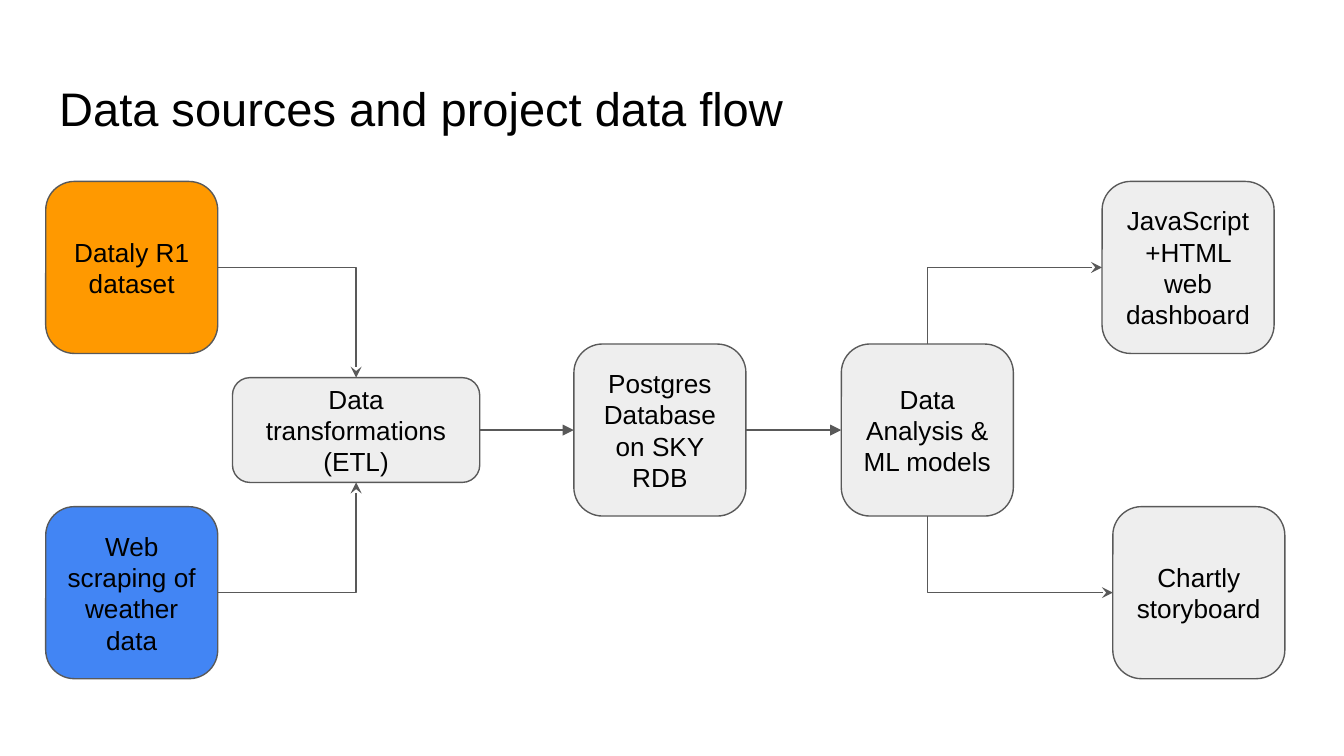
from dataclasses import dataclass

import pptx
import pptx.dml.color
import pptx.enum.shapes
import pptx.enum.text
import pptx.oxml.ns
import pptx.util
from lxml import etree
from pptx.util import Inches

RGB = pptx.dml.color.RGBColor.from_string
SHAPE = pptx.enum.shapes.MSO_SHAPE
CONNECTOR = pptx.enum.shapes.MSO_CONNECTOR
ALIGN = pptx.enum.text.PP_ALIGN
ANCHOR = pptx.enum.text.MSO_ANCHOR
qn = pptx.oxml.ns.qn


@dataclass(frozen=True)
class Theme:
    font: str = "Arial"
    text: str = "000000"
    line: str = "595959"
    step: str = "EEEEEE"
    dataset: str = "FF9900"
    scraping: str = "4285F4"
    title_size: float = 25.2
    box_size: float = 14
    line_width: float = 0.75


theme = Theme()


def set_text(shape, text, size, align, anchor):
    frame = shape.text_frame
    frame.text = text
    margins = dict.fromkeys(("margin_left", "margin_top", "margin_right", "margin_bottom"), Inches(0.1))
    settings = {"word_wrap": True, "auto_size": pptx.enum.text.MSO_AUTO_SIZE.NONE, "vertical_anchor": anchor}
    for name, value in (margins | settings).items():
        setattr(frame, name, value)
    paragraph = frame.paragraphs[0]
    paragraph.alignment = align
    paragraph.font.name = theme.font
    paragraph.font.size = pptx.util.Pt(size)
    paragraph.font.color.rgb = RGB(theme.text)


def connect(kind, source, source_side, target, target_side, arrowhead):
    """Join two boxes with an arrow that points at the target."""
    arrow = slide.shapes.add_connector(kind, 0, 0, 0, 0)
    arrow.begin_connect(source, source_side)
    arrow.end_connect(target, target_side)
    arrow.line.color.rgb = RGB(theme.line)
    arrow.line.width = pptx.util.Pt(theme.line_width)
    etree.SubElement(arrow.line._get_or_add_ln(), qn("a:tailEnd"), type=arrowhead)
    etree.SubElement(arrow._element.spPr, qn("a:effectLst"))
    return arrow


presentation = pptx.Presentation()
presentation.slide_width = Inches(10)
presentation.slide_height = Inches(10) * 9 // 16
slide = presentation.slides.add_slide(presentation.slide_layouts[5])

title = slide.shapes.title
title.left, title.top, title.width, title.height = map(Inches, (0.34, 0.49, 9.32, 0.63))
set_text(title, "Data sources and project data flow", theme.title_size, ALIGN.LEFT, ANCHOR.TOP)

side = 1.28
upper, middle, lower = 1.99, 3.2, 4.41  # centre lines of the three rows
steps = {
    "database": ("Postgres Database on SKY RDB", 4.27, middle, side, side, theme.step),
    "etl": ("Data transformations (ETL)", 1.73, middle, 1.84, 0.78, theme.step),
    "scraping": ("Web scraping of weather data", 0.34, lower, side, side, theme.scraping),
    "dataset": ("Dataly R1 dataset", 0.34, upper, side, side, theme.dataset),
    "analysis": ("Data Analysis & ML models", 6.26, middle, side, side, theme.step),
    "storyboard": ("Chartly storyboard", 8.28, lower, side, side, theme.step),
    "dashboard": ("JavaScript+HTML web dashboard", 8.2, upper, side, side, theme.step),
}
boxes = {}
for key, (label, left, centre, width, height, fill) in steps.items():
    box = slide.shapes.add_shape(
        SHAPE.ROUNDED_RECTANGLE, Inches(left), Inches(centre - height / 2), Inches(width), Inches(height)
    )
    box.shadow.inherit = False
    box.fill.solid()
    box.fill.fore_color.rgb = RGB(fill)
    box.line.color.rgb = RGB(theme.line)
    box.line.width = pptx.util.Pt(theme.line_width)
    set_text(box, label, theme.box_size, ALIGN.CENTER, ANCHOR.MIDDLE)
    boxes[key] = box

top, left, bottom, right = range(4)
for source, target in (("etl", "database"), ("database", "analysis")):
    connect(CONNECTOR.STRAIGHT, boxes[source], right, boxes[target], left, "triangle")

for source, source_side, target, target_side in (
    ("dataset", right, "etl", top),
    ("scraping", right, "etl", bottom),
    ("analysis", top, "dashboard", left),
    ("analysis", bottom, "storyboard", left),
):
    elbow = connect(CONNECTOR.ELBOW, boxes[source], source_side, boxes[target], target_side, "stealth")
    elbow._element.spPr.find(qn("a:prstGeom")).set("prst", "bentConnector2")
    if source_side in (top, bottom):
        # A one-bend elbow starts out level, so a quarter turn makes it start upright.
        centre_x, centre_y = elbow.left + elbow.width // 2, elbow.top + elbow.height // 2
        elbow.width, elbow.height = elbow.height, elbow.width
        elbow.left, elbow.top = centre_x - elbow.width // 2, centre_y - elbow.height // 2
        frame = elbow._element.spPr.find(qn("a:xfrm"))
        frame.set("rot", str(270 * 60000))
        frame.set("flipH", str(int(source_side == bottom)))
        frame.set("flipV", "0")

presentation.save("out.pptx")
